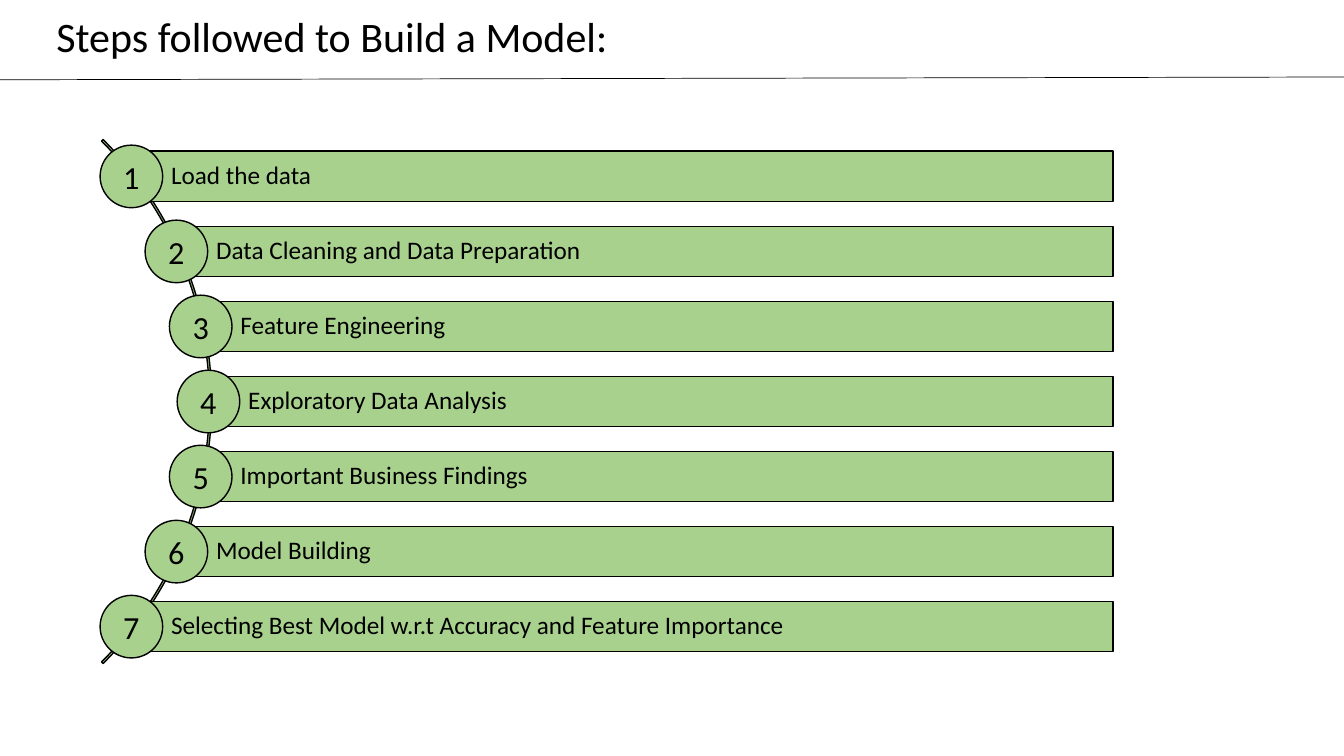
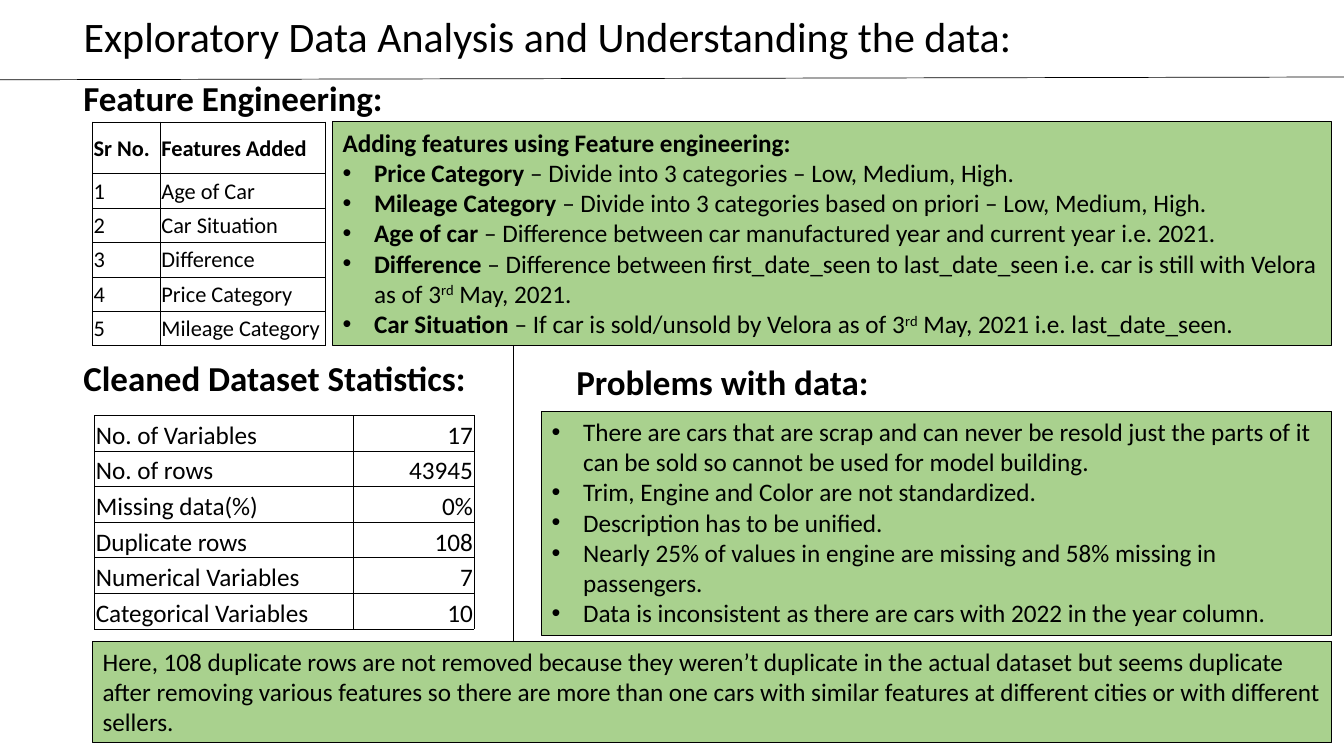
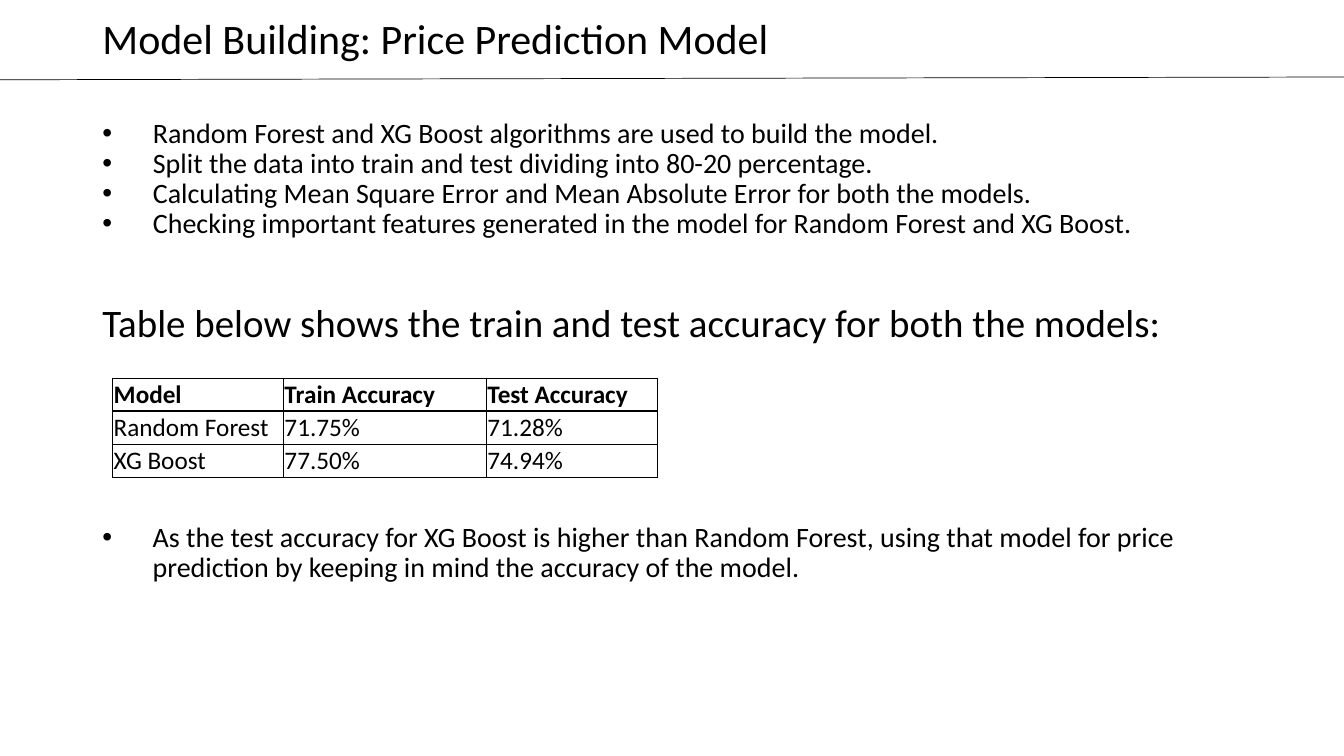
import math

from lxml import etree
from pptx import Presentation
from pptx.dml.color import RGBColor
from pptx.enum import shapes, text
from pptx.oxml import ns
from pptx.util import Pt

COLORS = {"ink": "000000", "panel": "A9D18E", "paper": "FFFFFF"}
FONT = "Calibri"
TITLE_ONLY, TITLE_AND_BODY = 5, 1
MIDDLE, BOTTOM = text.MSO_ANCHOR.MIDDLE, text.MSO_ANCHOR.BOTTOM
LEFT, CENTER, RIGHT = text.PP_ALIGN.LEFT, text.PP_ALIGN.CENTER, text.PP_ALIGN.RIGHT
BOLD = {"bold": True}
RAISED = {"baseline": 30000}


def color(name):
    """Return the named colour."""
    return RGBColor.from_string(COLORS[name])


def assign(target, values):
    """Set every attribute in values on target."""
    for name, value in values.items():
        setattr(target, name, value)


def child(parent, tag, **attributes):
    """Append a DrawingML element."""
    return etree.SubElement(parent, ns.qn(tag), attributes)


class Deck:
    """Holds the presentation, its style and the current slide."""

    def __init__(self):
        """Start a widescreen presentation."""
        self.presentation = Presentation()
        assign(self.presentation, {"slide_width": Pt(960), "slide_height": Pt(540)})
        self.slide = None

    def new_slide(self, title, frame, layout=TITLE_ONLY):
        """Add a slide with a title and the divider under it."""
        self.slide = self.presentation.slides.add_slide(
            self.presentation.slide_layouts[layout])
        self.fill_box(self.slide.shapes.title, [title], frame, 30, MIDDLE, spacing=0.9)
        self.line((0, 57), (960, 55))

    def add_text(self, text_frame, paragraphs, size, indent=0, spacing=1.0,
                 align=LEFT, bold=False):
        """Add paragraphs, each a string or a list of (text, format) runs."""
        for index, content in enumerate(paragraphs):
            paragraph = (text_frame.add_paragraph() if index
                         else text_frame.paragraphs[0])
            assign(paragraph, {"alignment": align, "line_spacing": spacing,
                               "space_before": Pt(0), "space_after": Pt(0)})
            properties = paragraph._p.get_or_add_pPr()
            heading = index == 0 and isinstance(content, list) and len(content) == 1
            hanging = 0 if heading else Pt(indent)
            properties.set("marL", str(hanging))
            properties.set("indent", str(-hanging))
            if hanging:
                child(properties, "a:buFont", typeface="Arial")
                child(properties, "a:buChar", char="•")
            else:
                child(properties, "a:buNone")
            for words, style in [(content, {})] if isinstance(content, str) else content:
                run = paragraph.add_run()
                run.text = words
                assign(run.font, {"name": FONT, "size": Pt(size),
                                  "bold": style.get("bold", bold)})
                run.font.color.rgb = color("ink")
                if "baseline" in style:
                    run._r.get_or_add_rPr().set("baseline", str(style["baseline"]))

    def fill_box(self, shape, paragraphs, frame, size, anchor=text.MSO_ANCHOR.TOP,
                 insets=(7.2, 3.6, 7.2, 3.6), **style):
        """Place a shape and fill it with text."""
        assign(shape, dict(zip(("left", "top", "width", "height"), map(Pt, frame))))
        sides = ("margin_left", "margin_top", "margin_right", "margin_bottom")
        assign(shape.text_frame, {"word_wrap": True, "vertical_anchor": anchor,
                                  "auto_size": text.MSO_AUTO_SIZE.NONE,
                                  **dict(zip(sides, map(Pt, insets)))})
        self.add_text(shape.text_frame, paragraphs, size, **style)

    def text_box(self, paragraphs, frame, size, **style):
        """Add a text box."""
        box = self.slide.shapes.add_textbox(*map(Pt, frame))
        self.fill_box(box, paragraphs, frame, size, **style)

    def heading(self, words, frame, size=25, bold=True):
        """Add a section heading."""
        self.text_box([words], frame, size, anchor=MIDDLE, spacing=0.9, bold=bold)

    def shape(self, kind, frame, width=1):
        """Add an outlined green shape."""
        shape = self.slide.shapes.add_shape(kind, *map(Pt, frame))
        shape.shadow.inherit = False
        shape.fill.solid()
        shape.fill.fore_color.rgb = color("panel")
        shape.line.color.rgb = color("ink")
        shape.line.width = Pt(width)
        return shape

    def panel(self, paragraphs, frame, **style):
        """Add a green text panel."""
        panel = self.shape(shapes.MSO_SHAPE.RECTANGLE, frame, 0.75)
        self.fill_box(panel, paragraphs, frame, 18, **style)

    def line(self, start, end):
        """Add a thin straight line."""
        line = self.slide.shapes.add_connector(
            shapes.MSO_CONNECTOR.STRAIGHT, *map(Pt, start + end))
        line.line.color.rgb = color("ink")
        line.line.width = Pt(0.5)
        child(line._element.spPr, "a:effectLst")

    def table(self, rows, position, columns, heights, size, anchor=MIDDLE,
              header=True, aligns=(LEFT, LEFT, LEFT)):
        """Add a ruled table with an optional bold header row."""
        table = self.slide.shapes.add_table(
            len(rows), len(columns), *map(Pt, position),
            Pt(sum(columns)), Pt(sum(heights))).table
        assign(table, {"first_row": False, "horz_banding": False})
        for column, width in zip(table.columns, columns):
            column.width = Pt(width)
        for r, (row, height) in enumerate(zip(rows, heights)):
            table.rows[r].height = Pt(height)
            for c, words in enumerate(row):
                cell = table.cell(r, c)
                assign(cell, {"margin_left": Pt(0.75), "margin_top": Pt(0.75),
                              "margin_right": Pt(0.75), "margin_bottom": 0,
                              "vertical_anchor": anchor})
                heavy = {0: "B", 1: "T"}.get(r) if header else None
                for side in "LRTB":
                    border = child(cell._tc.get_or_add_tcPr(), f"a:ln{side}",
                                   w=str(Pt(1 if side == heavy else 0.5)))
                    child(child(border, "a:solidFill"), "a:srgbClr", val=COLORS["ink"])
                cell.fill.solid()
                cell.fill.fore_color.rgb = color("paper")
                self.add_text(cell.text_frame, [words], size, align=aligns[c],
                              bold=header and r == 0)


def build_steps(deck):
    """Build the list of steps along an arc."""
    deck.new_slide("Steps followed to Build a Model:", (33, 0, 828, 55.5))
    steps = ["Load the data", "Data Cleaning and Data Preparation",
             "Feature Engineering", "Exploratory Data Analysis",
             "Important Business Findings", "Model Building",
             "Selecting Best Model w.r.t Accuracy and Feature Importance"]
    center_x, center_y, radius, arc_radius = -113.4, 286.8, 262.3, 264.6
    step, bar_height, bar_right, badge = 53.6, 36, 795, 44.7
    arc = deck.shape(shapes.MSO_SHAPE.BLOCK_ARC,
                     (center_x - arc_radius, center_y - arc_radius,
                      2 * arc_radius, 2 * arc_radius))
    for index, value in enumerate((189, 27, 0.003)):
        arc.adjustments[index] = value
    for index, words in enumerate(steps):
        offset = (index - len(steps) // 2) * step
        x, y = center_x + math.sqrt(radius ** 2 - offset ** 2), center_y + offset
        bar_frame = (x, y - bar_height / 2, bar_right - x, bar_height)
        badge_frame = (x - badge / 2, y - badge / 2, badge, badge)
        bar = deck.shape(shapes.MSO_SHAPE.RECTANGLE, bar_frame)
        deck.fill_box(bar, [words], bar_frame, 18, MIDDLE, (28.4, 3.6, 3.6, 3.6),
                      spacing=0.9)
        circle = deck.shape(shapes.MSO_SHAPE.OVAL, badge_frame)
        deck.fill_box(circle, [str(index + 1)], badge_frame, 23, MIDDLE, (0, 0, 0, 0),
                      align=CENTER)


def build_analysis(deck):
    """Build the data analysis overview."""
    deck.new_slide("Exploratory Data Analysis and Understanding the data:",
                   (52.5, 8.5, 887, 39))
    deck.heading("Cleaned Dataset Statistics:", (52.5, 252.7, 345.6, 37.4))
    deck.panel([
        [("Adding features using Feature engineering:", BOLD)],
        [("Price Category ", BOLD),
         ("– Divide into 3 categories – Low, Medium, High.", {})],
        [("Mileage Category ", BOLD),
         ("– Divide into 3 categories based on priori – Low, Medium, High.", {})],
        [("Age of car ", BOLD),
         ("– Difference between car manufactured year and current year i.e. 2021.", {})],
        [("Difference", BOLD),
         (" – Difference between first_date_seen to last_date_seen i.e. car is still "
          "with Velora as of 3", {}), ("rd", RAISED), (" May, 2021.", {})],
        [("Car Situation ", BOLD),
         ("– If car is sold/unsold by Velora as of 3", {}), ("rd", RAISED),
         (" May, 2021 i.e. last_date_seen.", {})],
    ], (237.6, 87.1, 713.5, 159.9), indent=22.5)
    deck.panel([
        "Here, 108 duplicate rows are not removed because they weren’t duplicate in the "
        "actual dataset but seems duplicate after removing various features so there are "
        "more than one cars with similar features at different cities or with different "
        "sellers."], (66.2, 458, 884.9, 72.7))
    deck.table([("No. of Variables", "17"), ("No. of rows", "43945"),
                ("Missing data(%)", "0%"), ("Duplicate rows", "108"),
                ("Numerical Variables", "7"), ("Categorical Variables", "10")],
               (67.7, 296.7), (184.5, 86.4), [25.45] * 6, 18, BOTTOM, False,
               (LEFT, RIGHT))
    features = ["Age of Car", "Car Situation", "Difference", "Price Category",
                "Mileage Category"]
    numbered = [(str(number), name) for number, name in enumerate(features, 1)]
    deck.table([("Sr No.", "Features Added")] + numbered,
               (66.2, 87.1), (48.4, 118), [37] + [24.6] * 5, 16)
    deck.heading("Feature Engineering:", (52.5, 56.9, 264, 28.8))
    deck.heading("Problems with data:", (404.6, 255.6, 512, 37.4))
    deck.panel([
        "There are cars that are scrap and can never be resold just the parts of it can "
        "be sold so cannot be used for model building.",
        "Trim, Engine and Color are not standardized.",
        "Description has to be unified.",
        "Nearly 25% of values in engine are missing and 58% missing in passengers.",
        "Data is inconsistent as there are cars with 2022 in the year column.",
    ], (386.9, 293.8, 564.4, 159.9), indent=22.5)
    deck.line((366.5, 247), (366.5, 458))


def build_model(deck):
    """Build the model accuracy summary."""
    left, width = 66, 828
    bullets = {"anchor": MIDDLE, "insets": (7.2, 3.6, 7.2, 25.2), "indent": 36,
               "spacing": 0.9}
    deck.new_slide("Model Building: Price Prediction Model", (left, 1.5, width, 55.5),
                   TITLE_AND_BODY)
    deck.table([("Model", "Train Accuracy", "Test Accuracy"),
                ("Random Forest", "71.75%", "71.28%"),
                ("XG Boost", "77.50%", "74.94%")],
               (80.5, 270), (122, 145, 122), [23.6] * 3, 18)
    deck.fill_box(deck.slide.placeholders[1], [
        "Random Forest and XG Boost algorithms are used to build the model.",
        "Split the data into train and test dividing into 80-20 percentage.",
        "Calculating Mean Square Error and Mean Absolute Error for both the models.",
        "Checking important features generated in the model for Random Forest and "
        "XG Boost."], (left, 73.5, width, 131), 20, **bullets)
    deck.heading("Table below shows the train and test accuracy for both the models:",
                 (left, 204.5, width, 55.5), 27.8, False)
    deck.text_box([
        "As the test accuracy for XG Boost is higher than Random Forest, using that model "
        "for price prediction by keeping in mind the accuracy of the model."],
        (left, 340.5, width, 131), 20, **bullets)


deck = Deck()
build_steps(deck)
build_analysis(deck)
build_model(deck)
deck.presentation.save("out.pptx")
